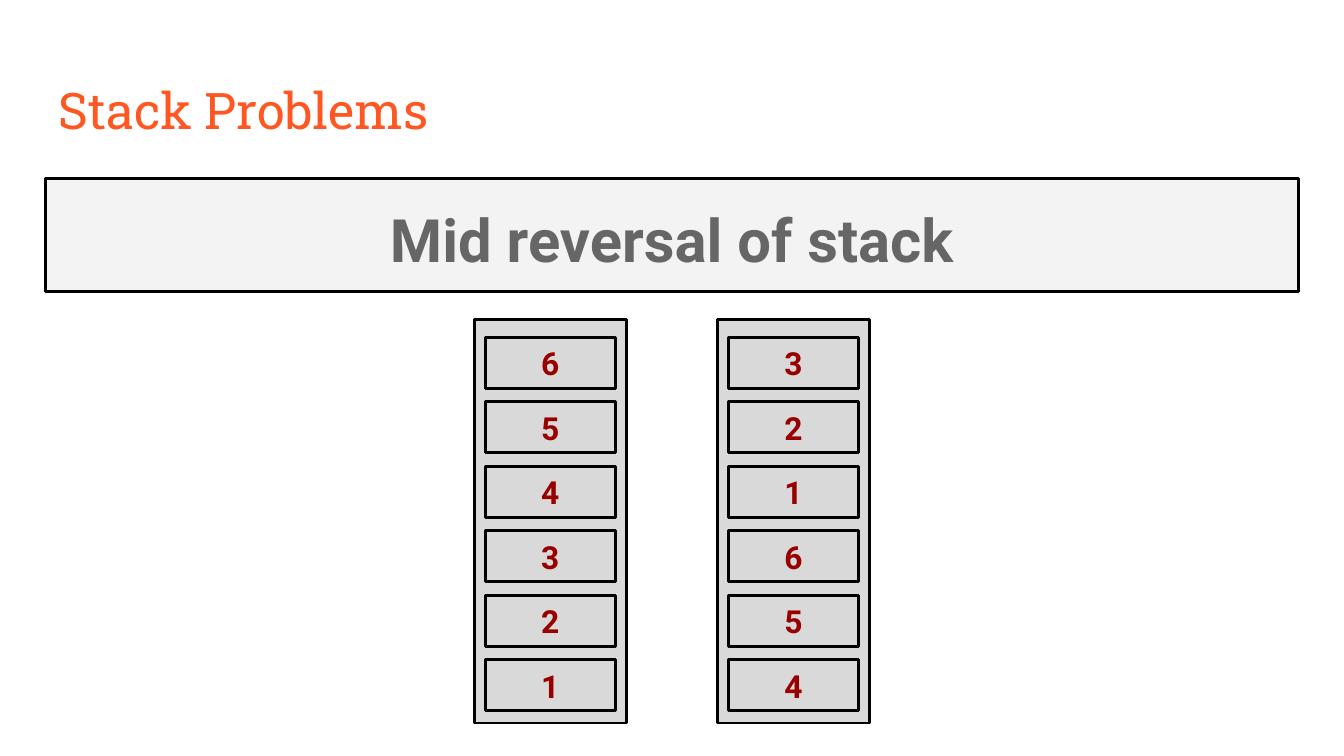
import pptx
import pptx.util
import pptx.dml.color
import pptx.enum.shapes
import pptx.enum.text

Inches = pptx.util.Inches
Pt = pptx.util.Pt
Align = pptx.enum.text.PP_ALIGN
Anchor = pptx.enum.text.MSO_ANCHOR

COLORS = {
    "title": "FF5722",
    "banner": "F3F3F3",
    "head": "666666",
    "stack": "D9D9D9",
    "digit": "980000",
    "line": "000000",
}
FONTS = {
    "title": {"size": Pt(27), "name": "Roboto Slab", "bold": False},
    "head": {"size": Pt(32), "name": "Roboto", "bold": True},
    "digit": {"size": Pt(17), "name": "Roboto", "bold": True},
}
WIDTH = 10
HEIGHT = WIDTH * 9 / 16
MARGIN = 0.34
TOP, STEP = 2.51, 0.48
STACKS = {3.53: "654321", 5.34: "321654"}


def color(key):
    """Return the named colour."""
    return pptx.dml.color.RGBColor.from_string(COLORS[key])


def write(shape, text, style, **layout):
    """Put styled text into a shape."""
    frame = shape.text_frame
    frame.word_wrap = True
    for side in ("left", "top", "right", "bottom"):
        setattr(frame, "margin_" + side, Inches(0.1))
    frame.vertical_anchor = layout.pop("anchor", Anchor.TOP)
    line = frame.paragraphs[0]
    for name, value in layout.items():
        setattr(line, name, value)
    run = line.add_run()
    run.text = text
    for name, value in FONTS[style].items():
        setattr(run.font, name, value)
    run.font.color.rgb = color(style)


def box(slide, area, fill=None):
    """Draw an outlined rectangle, filled if a colour is named."""
    kind = pptx.enum.shapes.MSO_SHAPE.RECTANGLE
    shape = slide.shapes.add_shape(kind, *map(Inches, area))
    shape.shadow.inherit = False
    if fill:
        shape.fill.solid()
        shape.fill.fore_color.rgb = color(fill)
    else:
        shape.fill.background()
    shape.line.color.rgb = color("line")
    shape.line.width = Pt(1.5)
    return shape


def stack(slide, left, digits):
    """Draw a stack with its cells from top to bottom."""
    box(slide, (left, 2.38, 1.13, 3), "stack")
    for row, digit in enumerate(digits):
        cell = box(slide, (left + 0.08, TOP + row * STEP, 0.97, 0.38))
        write(cell, digit, "digit", anchor=Anchor.MIDDLE, alignment=Align.CENTER)


def main():
    """Build and save the slide."""
    deck = pptx.Presentation()
    deck.slide_width, deck.slide_height = Inches(WIDTH), Inches(HEIGHT)
    slide = deck.slides.add_slide(deck.slide_layouts[6])
    wide = WIDTH - 2 * MARGIN
    title = slide.shapes.add_textbox(*map(Inches, (MARGIN, 0.49, wide, 0.63)))
    write(title, "Stack Problems", "title", alignment=Align.LEFT)
    banner = box(slide, (MARGIN, 1.33, wide, 0.84), "banner")
    write(banner, "Mid reversal of stack", "head",
          alignment=Align.CENTER, line_spacing=1.15)
    for left, digits in STACKS.items():
        stack(slide, left, digits)
    deck.save("out.pptx")


if __name__ == "__main__":
    main()
